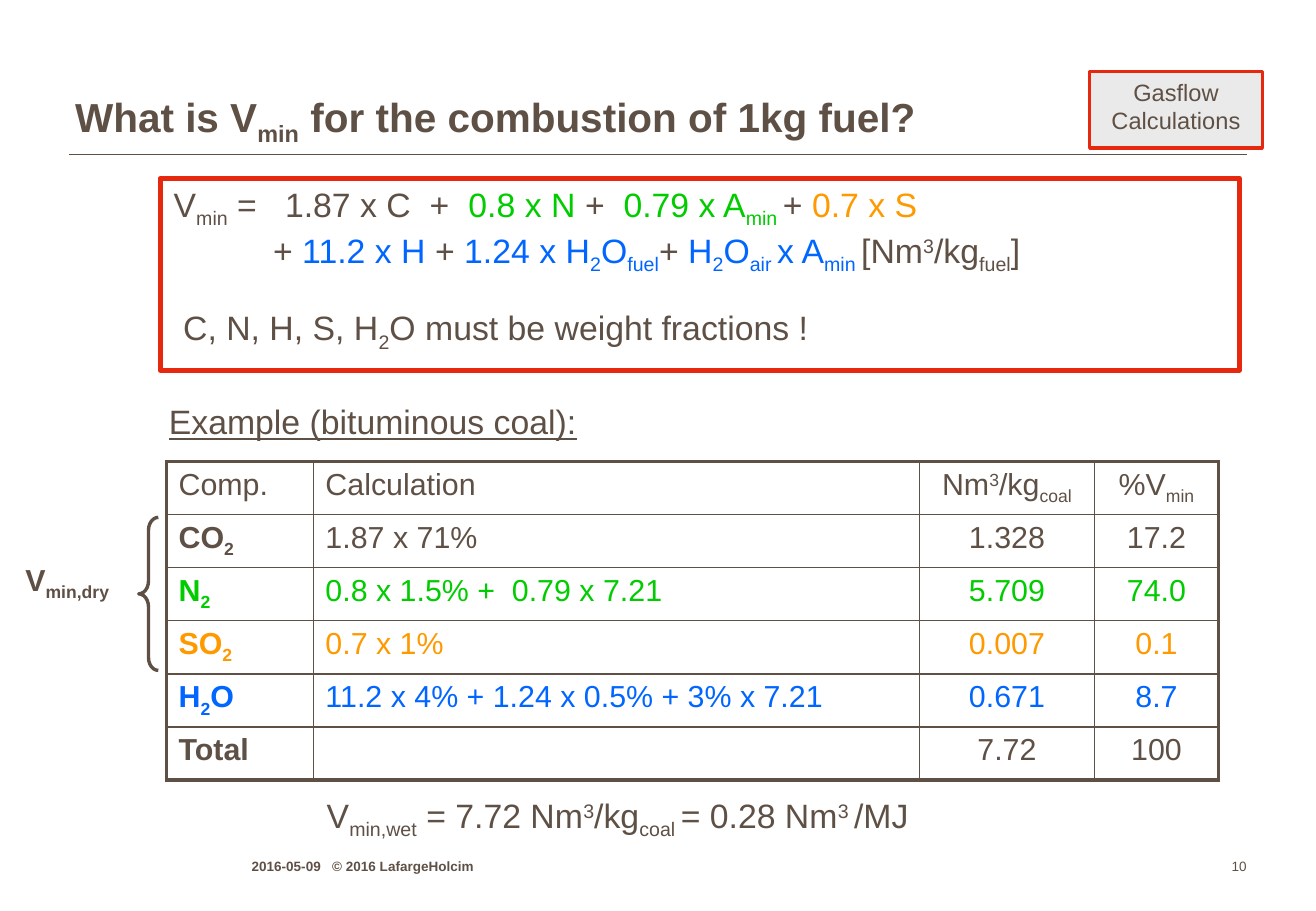
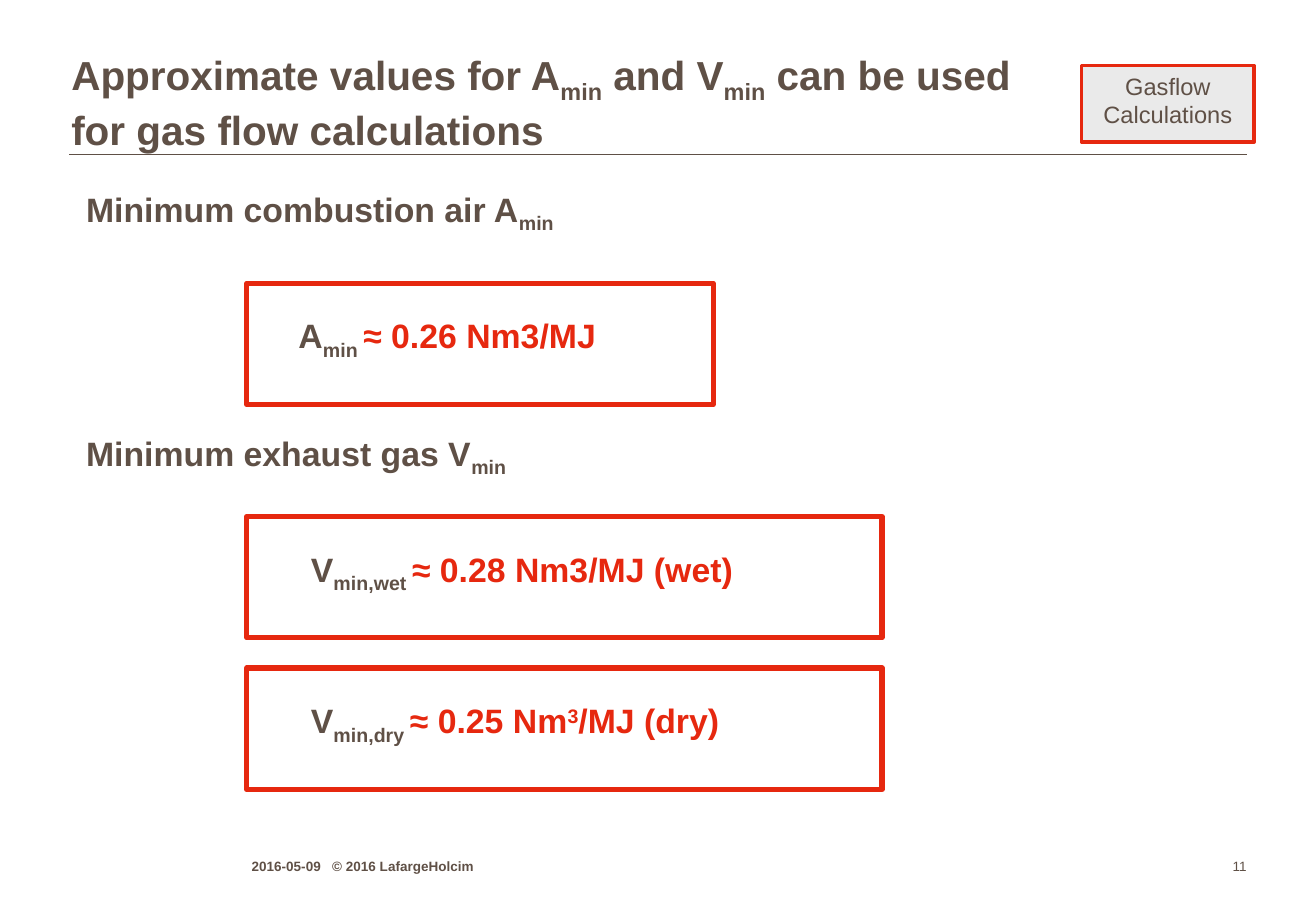
from dataclasses import dataclass
from typing import Any, Optional

from lxml.etree import SubElement
from pptx import Presentation
from pptx.dml.color import RGBColor
from pptx.enum.shapes import MSO_CONNECTOR, MSO_SHAPE
from pptx.enum.text import MSO_ANCHOR, MSO_AUTO_SIZE, PP_ALIGN
from pptx.oxml.ns import qn
from pptx.util import Cm, Pt

BROWN = RGBColor(0x5F, 0x50, 0x46)
RED = RGBColor(0xE6, 0x28, 0x0F)
GREEN = RGBColor(0x00, 0xCC, 0x00)
ORANGE = RGBColor(0xFF, 0x99, 0x00)
BLUE = RGBColor(0x00, 0x66, 0xFF)
PALE_GREY = RGBColor(0xEA, 0xEA, 0xEA)

FONT = "Arial"
LEFT, CENTER, RIGHT = PP_ALIGN.LEFT, PP_ALIGN.CENTER, PP_ALIGN.RIGHT
TOP, MIDDLE, BOTTOM = MSO_ANCHOR.TOP, MSO_ANCHOR.MIDDLE, MSO_ANCHOR.BOTTOM
INSETS = (0.25, 0.13)
SUBSCRIPT, SUPERSCRIPT = "-25000", "30000"
THIN, THICK = Pt(1), Pt(2.25)


@dataclass(frozen=True)
class Place:
    """Left, top, width and height in centimetres."""
    left: float
    top: float
    width: float
    height: float

    def lengths(self) -> tuple:
        return Cm(self.left), Cm(self.top), Cm(self.width), Cm(self.height)


@dataclass(frozen=True)
class Span:
    """Text in one colour; ~x~ is subscript, ^x^ superscript, a newline a line break."""
    text: str
    color: RGBColor = BROWN


@dataclass(frozen=True)
class Style:
    size: float = 20
    bold: bool = False
    underline: bool = False
    align: Any = LEFT
    anchor: Any = TOP
    insets: tuple = INSETS


@dataclass(frozen=True)
class TableRow:
    component: str
    calculation: str
    volume: str
    share: str
    color: RGBColor = BROWN
    bold: bool = True


@dataclass(frozen=True)
class Result:
    """A framed value: frame place, text offset from its left edge, and text."""
    frame: Place
    offset: float
    spans: tuple


TITLE = Style(24, bold=True)
BODY = Style()
BODY_MIDDLE = Style(anchor=MIDDLE)
HEADING = Style(bold=True)
EXAMPLE = Style(underline=True)
BRACE_LABEL = Style(18, bold=True, anchor=MIDDLE)
TAG = Style(14, align=CENTER)
FOOTER = Style(8, bold=True, anchor=BOTTOM, insets=(0, 0))
PAGE_NUMBER = Style(8, align=RIGHT, anchor=BOTTOM, insets=(0, 0))

FORMULA = (
    Span("V~min~ =   1.87 x C  +  "), Span("0.8 x N ", GREEN), Span("+  "),
    Span("0.79 x A~min ~", GREEN), Span("+ "), Span("0.7 x S", ORANGE),
    Span("\n\t+ "), Span("11.2 x H ", BLUE), Span("+ "),
    Span("1.24 x H~2~O~fuel~", BLUE), Span("+ "),
    Span("H~2~O~air ~x A~min ~", BLUE), Span("[Nm^3^/kg~fuel~]"),
)

COLUMN_WIDTHS = (3.07, 12.67, 3.66, 2.59)
ROW_HEIGHT = 1.11
ROWS = (
    TableRow("Comp.", "Calculation", "Nm^3^/kg~coal~", "%V~min~", bold=False),
    TableRow("CO~2~", "1.87 x 71%", "1.328", "17.2"),
    TableRow("N~2~", "0.8 x 1.5% +  0.79 x 7.21", "5.709", "74.0", GREEN),
    TableRow("SO~2~", "0.7 x 1%", "0.007", "0.1", ORANGE),
    TableRow("H~2~O", "11.2 x 4% + 1.24 x 0.5% + 3% x 7.21", "0.671", "8.7", BLUE),
    TableRow("Total", "", "7.72", "100"),
)

RESULTS = (
    Result(Place(5.16, 5.92, 9.75, 2.54), 0.83,
           (Span("A~min ~"), Span("≈ 0.26 Nm3/MJ", RED))),
    Result(Place(5.16, 10.8, 13.28, 2.54), 1.09,
           (Span("V~min,wet ~"), Span("≈ 0.28 Nm3/MJ (wet)", RED))),
    Result(Place(5.16, 13.97, 13.28, 2.54), 1.09,
           (Span("V~min,dry ~"), Span("≈ 0.25 Nm^3^/MJ (dry)", RED))),
)


def apply(target: Any, values: dict) -> None:
    for name, value in values.items():
        setattr(target, name, value)


def add_run(para: Any, text: str, color: RGBColor, style: Style, baseline: Optional[str]) -> None:
    run = para.add_run()
    run.text = text
    apply(run.font, {"name": FONT, "size": Pt(style.size), "bold": style.bold,
                     "underline": style.underline})
    run.font.color.rgb = color
    if baseline:
        run._r.get_or_add_rPr().set("baseline", baseline)


def write(para: Any, spans: tuple, style: Style) -> None:
    para.alignment = style.align
    for span in spans:
        for line_index, line in enumerate(span.text.split("\n")):
            if line_index:
                para.add_line_break()
            for low_index, low in enumerate(line.split("~")):
                for high_index, part in enumerate(low.split("^")):
                    baseline = (SUBSCRIPT if low_index % 2
                                else SUPERSCRIPT if high_index % 2 else None)
                    if part:
                        add_run(para, part, span.color, style, baseline)


def fill_frame(shape: Any, spans: tuple, style: Style) -> Any:
    """Write one paragraph into a shape and return that paragraph."""
    frame = shape.text_frame
    across, down = (Cm(inset) for inset in style.insets)
    apply(frame, {"word_wrap": True, "auto_size": MSO_AUTO_SIZE.NONE,
                  "vertical_anchor": style.anchor,
                  "margin_left": across, "margin_right": across,
                  "margin_top": down, "margin_bottom": down})
    para = frame.paragraphs[0]
    write(para, spans, style)
    return para


def add_text(page: Any, place: Place, style: Style, *spans: Span) -> Any:
    return fill_frame(page.shapes.add_textbox(*place.lengths()), spans, style)


def add_outline(page: Any, place: Place, color: RGBColor, width: float,
                kind: Any = MSO_SHAPE.RECTANGLE) -> Any:
    shape = page.shapes.add_shape(kind, *place.lengths())
    shape.shadow.inherit = False
    shape.fill.background()
    shape.line.color.rgb = color
    shape.line.width = Pt(width)
    return shape


def add_title_rule(layout: Any, page: Any) -> None:
    """Draw the rule on a page, then move it to the layout that all pages use."""
    rule = page.shapes.add_connector(MSO_CONNECTOR.STRAIGHT, Cm(1.45), Cm(3.23),
                                     Cm(26.06), Cm(3.23))
    rule.line.color.rgb = BROWN
    rule.line.width = THIN
    SubElement(rule.element.spPr, qn("a:effectLst"))
    layout.shapes.element.append(rule.element)


def add_page(deck: Any, layout: Any, number: int, title_place: Place, title: str,
             tag_left: float, tag_top: float) -> Any:
    page = deck.slides.add_slide(layout)
    heading = page.shapes.title
    apply(heading, dict(zip(("left", "top", "width", "height"), title_place.lengths())))
    fill_frame(heading, (Span(title),), TITLE)
    tag = add_outline(page, Place(tag_left, tag_top, 3.61, 1.6), RED, 2)
    tag.fill.solid()
    tag.fill.fore_color.rgb = PALE_GREY
    fill_frame(tag, (Span("Gasflow Calculations"),), TAG)
    add_text(page, Place(5.26, 17.83, 8.81, 0.46), FOOTER,
             Span("2016-05-09   © 2016 LafargeHolcim"))
    add_text(page, Place(24.87, 17.83, 1.19, 0.46), PAGE_NUMBER, Span(str(number)))
    return page


def set_borders(cell: Any, widths: dict) -> None:
    properties = cell._tc.get_or_add_tcPr()
    for side, width in widths.items():
        line = SubElement(properties, qn(f"a:ln{side}"), w=str(int(width)))
        SubElement(SubElement(line, qn("a:solidFill")), qn("a:srgbClr"), val=str(BROWN))


def add_gas_table(page: Any) -> None:
    place = Place(3.48, 9.65, sum(COLUMN_WIDTHS), ROW_HEIGHT * len(ROWS))
    table = page.shapes.add_table(len(ROWS), len(COLUMN_WIDTHS), *place.lengths()).table
    apply(table, {"first_row": False, "horz_banding": False})
    for column, width in zip(table.columns, COLUMN_WIDTHS):
        column.width = Cm(width)
    last_row, last_column = len(ROWS) - 1, len(COLUMN_WIDTHS) - 1
    for row_index, row in enumerate(ROWS):
        table.rows[row_index].height = Cm(ROW_HEIGHT)
        texts = (row.component, row.calculation, row.volume, row.share)
        for column_index, text in enumerate(texts):
            cell = table.cell(row_index, column_index)
            set_borders(cell, {
                "L": THICK if column_index == 0 else THIN,
                "R": THICK if column_index == last_column else THIN,
                "T": THICK if row_index == 0 else THIN,
                "B": THICK if row_index == last_row else THIN,
            })
            cell.fill.background()
            style = Style(18, bold=row.bold and column_index == 0,
                          align=CENTER if column_index > 1 else LEFT)
            write(cell.text_frame.paragraphs[0], (Span(text, row.color),), style)


def fill_formula_page(page: Any) -> None:
    add_outline(page, Place(3.35, 3.73, 22.56, 4.01), RED, 3)
    formula = add_text(page, Place(3.38, 3.71, 22.66, 2.31), BODY, *FORMULA)
    indent = Cm(0.81)
    properties = formula._p.get_or_add_pPr()
    properties.set("marL", str(indent))
    properties.set("indent", str(-indent))
    add_text(page, Place(3.58, 6.25, 16.59, 1.3), BODY_MIDDLE,
             Span("C, N, H, S, H~2~O must be weight fractions !"))
    add_text(page, Place(3.28, 8.26, 12.01, 1.12), EXAMPLE,
             Span("Example (bituminous coal):"))
    add_gas_table(page)
    add_text(page, Place(6.58, 16.54, 13.21, 1.12), BODY_MIDDLE,
             Span("V~min,wet~ = 7.72 Nm^3^/kg~coal ~= 0.28 Nm^3 ^/MJ"))
    brace = add_outline(page, Place(2.9, 10.82, 0.41, 3.2), BROWN, 2, MSO_SHAPE.LEFT_BRACE)
    brace.adjustments[0] = 0.66
    add_text(page, Place(0.28, 10.77, 2.59, 2.79), BRACE_LABEL, Span("V~min,dry~"))


def fill_values_page(page: Any) -> None:
    for top, heading in ((3.81, "Minimum combustion air A~min~"),
                         (8.92, "Minimum exhaust gas V~min~")):
        add_text(page, Place(1.55, top, 14.38, 1.45), HEADING, Span(heading))
    for result in RESULTS:
        frame = result.frame
        add_outline(page, frame, RED, 3)
        place = Place(frame.left + result.offset, frame.top + 0.54,
                      frame.width - 2 * result.offset, 1.27)
        add_text(page, place, HEADING, *result.spans)


def main() -> None:
    deck = Presentation()
    apply(deck, {"slide_width": Cm(27.51), "slide_height": Cm(19.05)})
    layout = deck.slide_layouts.get_by_name("Title Only")
    formula_page = add_page(deck, layout, 10, Place(1.32, 1.8, 24.38, 1.25),
                            "What is V~min~ for the combustion of 1kg fuel?", 22.78, 1.5)
    add_title_rule(layout, formula_page)
    fill_formula_page(formula_page)
    values_page = add_page(deck, layout, 11, Place(1.24, 0.91, 24.38, 2.21),
                           "Approximate values for A~min~ and V~min~ can be used\n"
                           "for gas flow calculations", 22.61, 1.37)
    fill_values_page(values_page)
    deck.save("out.pptx")


if __name__ == "__main__":
    main()
